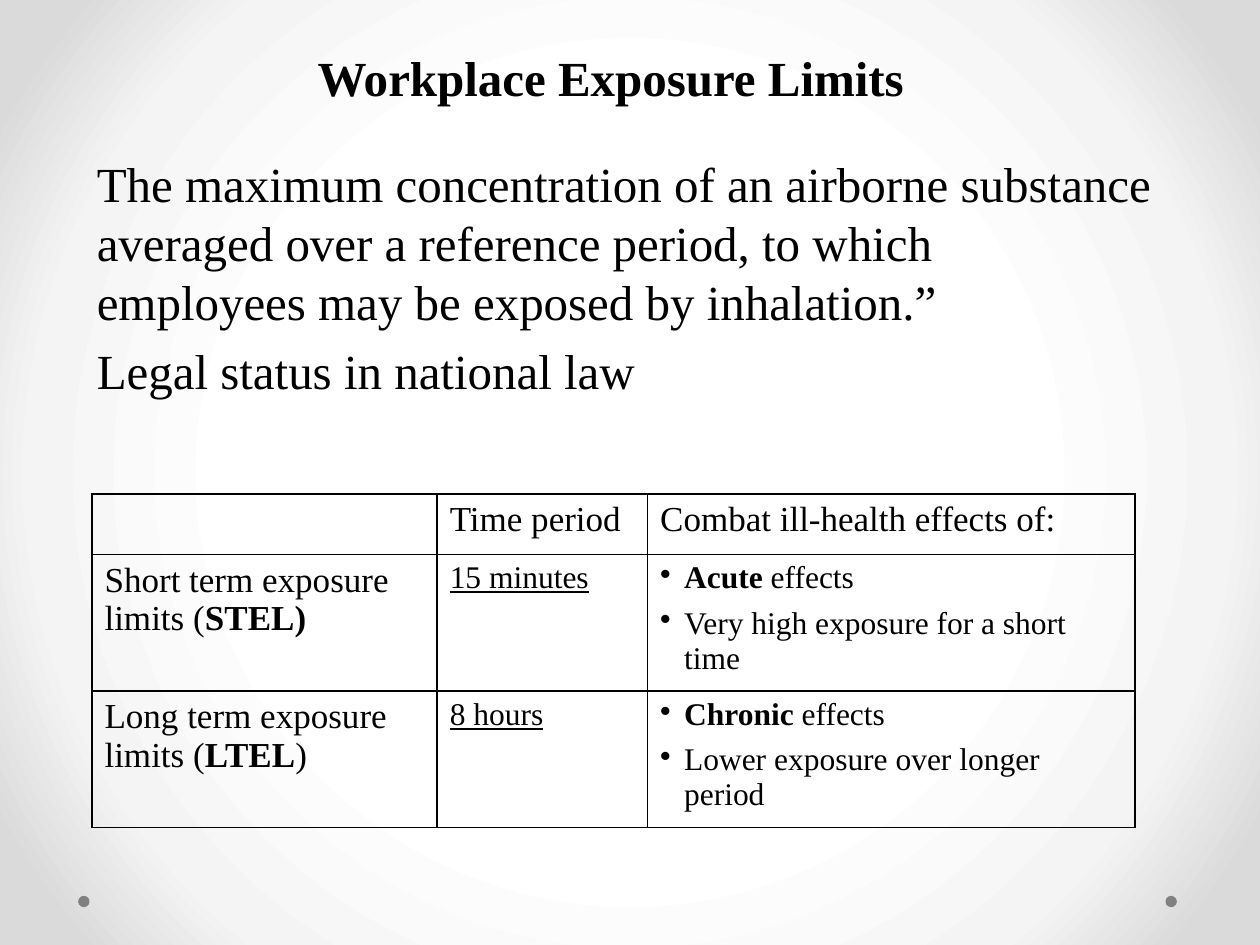
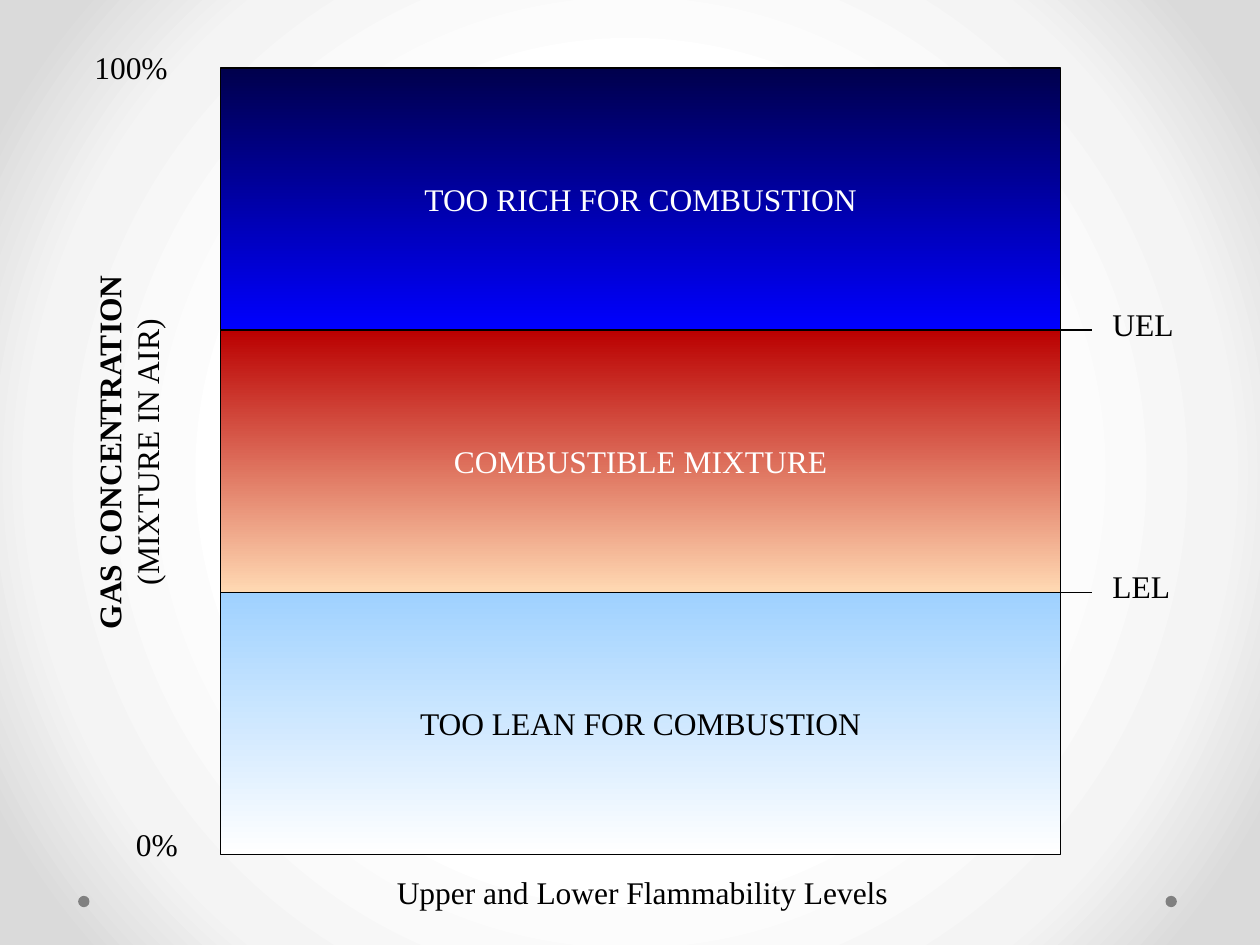
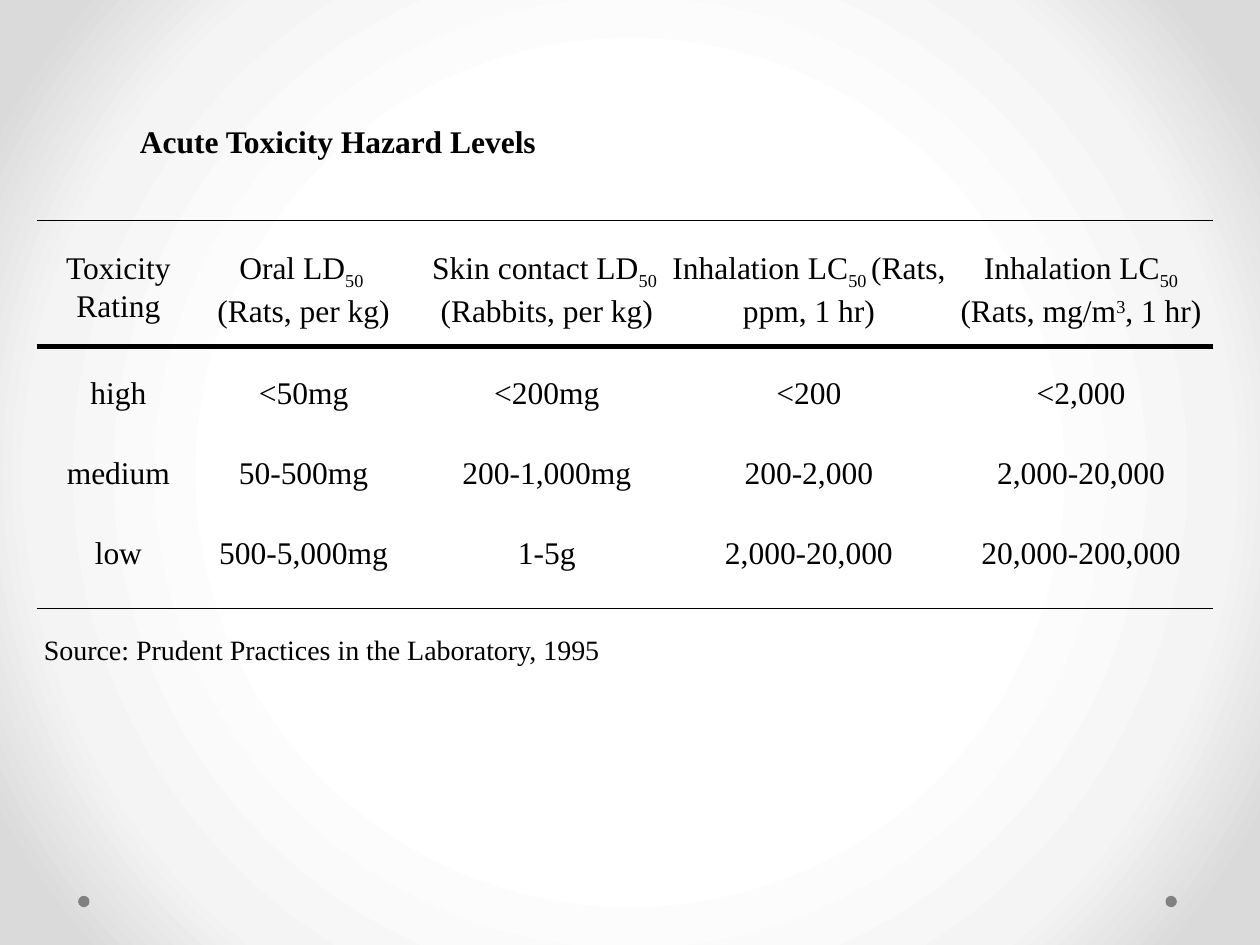
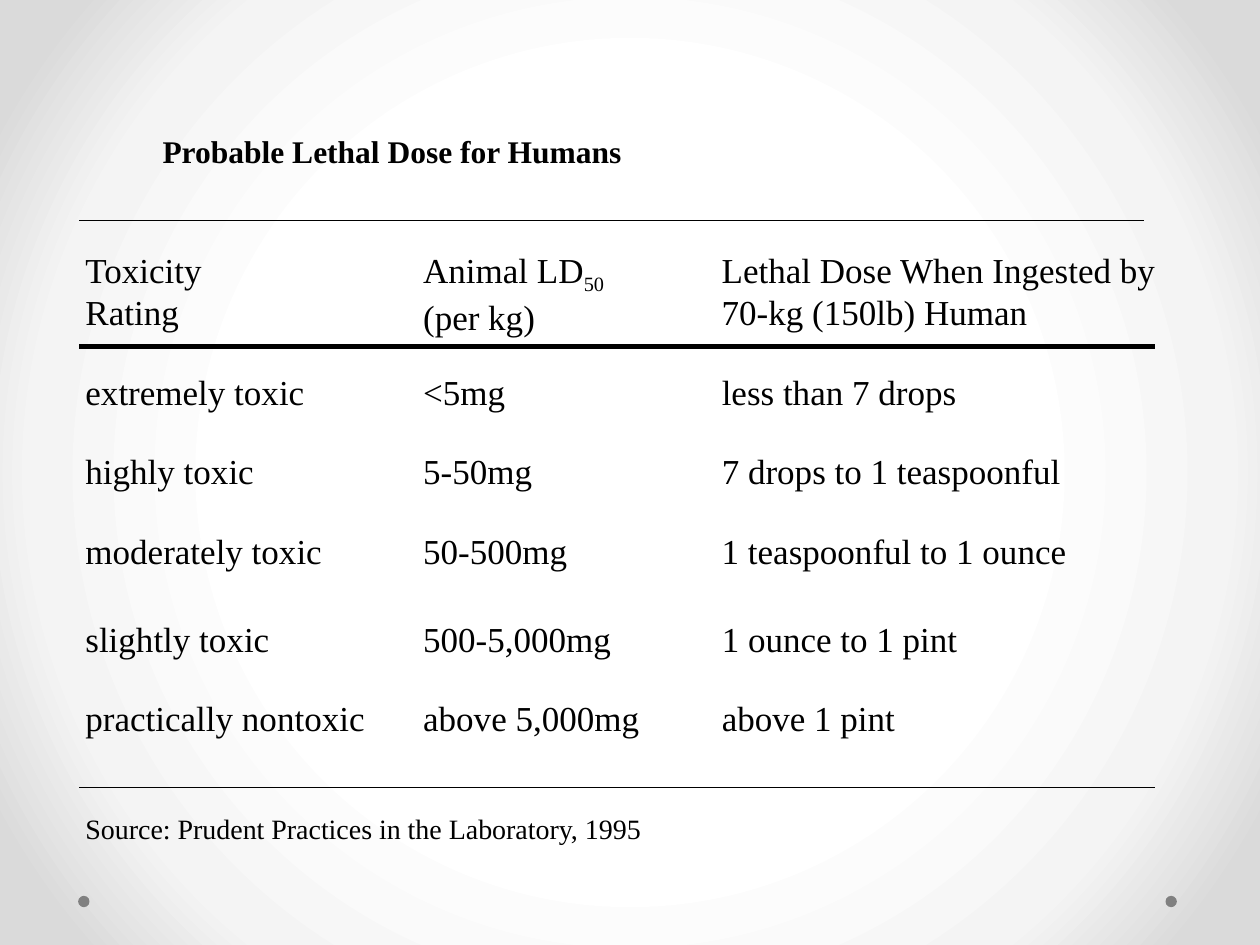
"""Build four slides on exposure limits, flammability and toxicity."""
from dataclasses import dataclass
from typing import NamedTuple

import lxml.etree
import pptx
import pptx.dml.color
import pptx.enum.shapes
import pptx.enum.text
import pptx.oxml
import pptx.oxml.ns
import pptx.presentation
import pptx.shapes.autoshape
import pptx.slide
import pptx.table
import pptx.text.text
import pptx.util

Inches = pptx.util.Inches
Align = pptx.enum.text.PP_ALIGN
Shape = pptx.enum.shapes.MSO_SHAPE
qn = pptx.oxml.ns.qn

FONT = "Times New Roman"
BLACK, WHITE, GREY = "000000", "FFFFFF", "808080"
BACKGROUND_STOPS = ((50, "FFFFFF"), (76, "F4F4F4"), (92, "DADADA"))
DOT_LEFTS, DOT_TOP, DOT_SIZE = (0.62, 9.25), 7.11, 0.09
TITLE_ONLY, BLANK = 5, 6
SOURCE = "Source: Prudent Practices in the Laboratory, 1995"
HEADING_TOP, RULE_TOP, RULE_MIDDLE = 1.92, 1.75, 2.75


class Box(NamedTuple):
    left: float
    top: float
    width: float
    height: float


class Span(NamedTuple):
    text: str
    bold: bool = False
    underline: bool = False
    baseline: int = 0


Line = list[Span]


@dataclass
class Style:
    size: float = 18
    color: str = BLACK
    align: Align = Align.LEFT
    space_before: float = 0


@dataclass
class Band:
    label: str
    start: str
    end: str
    text_color: str


@dataclass
class Column:
    anchor: float
    heading_width: float
    heading: list[Line]
    values: list[tuple[str, float]]


@dataclass
class Rule:
    left: float
    right: float
    y: float
    weight: float


def rgb(value: str) -> pptx.dml.color.RGBColor:
    """Turn a hex string into a colour."""
    return pptx.dml.color.RGBColor.from_string(value)


def plain(*texts: str) -> list[Line]:
    """Make one unformatted line of each text."""
    return [[Span(text)] for text in texts]


def inches(box: Box) -> list[pptx.util.Length]:
    """Convert a box to lengths."""
    return [Inches(value) for value in box]


def write(frame: pptx.text.text.TextFrame, lines: list[Line], style: Style) -> None:
    """Fill a text frame with formatted lines."""
    frame.text = "\n".join("" for _ in lines)
    for para, line in zip(frame.paragraphs, lines):
        para.alignment = style.align
        para.space_before = pptx.util.Pt(style.space_before)
        for span in line:
            run = para.add_run()
            run.text = span.text
            run.font.name = FONT
            run.font.size = pptx.util.Pt(style.size)
            run.font.bold = span.bold
            run.font.underline = span.underline
            run.font.color.rgb = rgb(style.color)
            if span.baseline:
                run.font._element.set("baseline", str(span.baseline * 1000))


def hang(para: pptx.text.text._Paragraph, indent: float, bullet: str = "") -> None:
    """Give a paragraph a hanging indent and, if asked, a bullet."""
    properties = para._p.get_or_add_pPr()
    properties.set("marL", str(Inches(indent)))
    properties.set("indent", str(-Inches(indent)))
    if bullet:
        lxml.etree.SubElement(properties, qn("a:buChar")).set("char", bullet)


def add_text(slide: pptx.slide.Slide, box: Box, lines: list[Line], style: Style,
             wrap: bool = False) -> pptx.shapes.autoshape.Shape:
    """Add a text box."""
    shape = slide.shapes.add_textbox(*inches(box))
    shape.text_frame.word_wrap = wrap
    write(shape.text_frame, lines, style)
    return shape


def set_title(slide: pptx.slide.Slide, box: Box, text: str, size: float = 18) -> None:
    """Place and format the title placeholder."""
    title = slide.shapes.title
    title.left, title.top, title.width, title.height = inches(box)
    frame = title.text_frame
    frame.word_wrap = False
    frame.auto_size = pptx.enum.text.MSO_AUTO_SIZE.NONE
    frame.vertical_anchor = pptx.enum.text.MSO_ANCHOR.TOP
    write(frame, [[Span(text, bold=True)]], Style(size))


def add_rule(slide: pptx.slide.Slide, rule: Rule) -> None:
    """Draw a horizontal black line."""
    line = slide.shapes.add_connector(
        pptx.enum.shapes.MSO_CONNECTOR.STRAIGHT,
        Inches(rule.left), Inches(rule.y), Inches(rule.right), Inches(rule.y))
    line.line.color.rgb = rgb(BLACK)
    line.line.width = pptx.util.Pt(rule.weight)
    lxml.etree.SubElement(line._element.spPr, qn("a:effectLst"))


def style_master(deck: pptx.presentation.Presentation, slide: pptx.slide.Slide) -> None:
    """Put the radial background and the two footer dots on the master."""
    master = deck.slide_master
    master.background.fill.solid()
    stops = "".join(f'<a:gs pos="{position * 1000}"><a:srgbClr val="{value}"/></a:gs>'
                    for position, value in BACKGROUND_STOPS)
    gradient = pptx.oxml.parse_xml(
        f'<a:gradFill {pptx.oxml.ns.nsdecls("a")} rotWithShape="1"><a:gsLst>{stops}</a:gsLst>'
        '<a:path path="circle"><a:fillToRect l="50000" t="50000" r="50000" b="50000"/></a:path>'
        '</a:gradFill>')
    properties = master.element.find(".//" + qn("p:bgPr"))
    properties.replace(properties[0], gradient)
    for number, left in enumerate(DOT_LEFTS, start=100):
        dot = slide.shapes.add_shape(Shape.OVAL, *inches(Box(left, DOT_TOP, DOT_SIZE, DOT_SIZE)))
        dot.shadow.inherit = False
        dot.fill.solid()
        dot.fill.fore_color.rgb = rgb(GREY)
        dot.line.fill.background()
        dot.name = f"Footer dot {number}"
        dot._element.nvSpPr.cNvPr.set("id", str(number))
        master.shapes._spTree.append(dot._element)


def border_cell(cell: pptx.table._Cell) -> None:
    """Clear a cell's fill and give it thin black borders."""
    cell.fill.background()
    properties = cell._tc.get_or_add_tcPr()
    for index, side in enumerate(("lnL", "lnR", "lnT", "lnB")):
        properties.insert(index, pptx.oxml.parse_xml(
            f'<a:{side} {pptx.oxml.ns.nsdecls("a")} w="{pptx.util.Pt(1)}"><a:solidFill>'
            f'<a:srgbClr val="{BLACK}"/></a:solidFill></a:{side}>'))


def add_limits_table(slide: pptx.slide.Slide) -> None:
    """Add the table of short and long term limits."""
    rows = [
        [[], plain("Time period"), plain("Combat ill-health effects of:")],
        [[[Span("Short term exposure limits ("), Span("STEL)", bold=True)]],
         [[Span("15 minutes", underline=True)]],
         [[Span("Acute", bold=True), Span(" effects")],
          [Span("Very high exposure for a short time")]]],
        [[[Span("Long term exposure limits ("), Span("LTEL", bold=True), Span(")")]],
         [[Span("8 hours", underline=True)]],
         [[Span("Chronic", bold=True), Span(" effects")],
          [Span("Lower exposure over longer period")]]],
    ]
    table = slide.shapes.add_table(3, 3, *inches(Box(0.73, 3.92, 8.28, 2.64))).table
    table.first_row = table.horz_banding = False
    for column, width in zip(table.columns, (2.74, 1.67, 3.87)):
        column.width = Inches(width)
    for row, height in zip(table.rows, (0.48, 1.08, 1.08)):
        row.height = Inches(height)
    for row_index, row in enumerate(rows):
        for column_index, lines in enumerate(row):
            cell = table.cell(row_index, column_index)
            border_cell(cell)
            detail = row_index > 0 and column_index > 0
            if lines:
                write(cell.text_frame, lines, Style(18 if detail else 20, space_before=6))
            if detail and column_index == 2:
                for para in cell.text_frame.paragraphs:
                    hang(para, 0.19, "•")


def build_limits(slide: pptx.slide.Slide) -> None:
    """Build the workplace exposure limits slide."""
    set_title(slide, Box(2.42, 0.33, 4.9, 0.57), "Workplace Exposure Limits", 28)
    body = add_text(slide, Box(0.67, 1.17, 8.58, 2.37), plain(
        "The maximum concentration of an airborne substance averaged over a reference period, "
        "to which employees may be exposed by inhalation.”",
        "Legal status in national law"), Style(28, space_before=6), wrap=True)
    hang(body.text_frame.paragraphs[1], 0.39)
    add_limits_table(slide)


def build_flammability(slide: pptx.slide.Slide) -> None:
    """Build the flammability levels diagram."""
    left, top, width, height = 1.75, 0.54, 6.67, 2.08
    bands = [
        Band("TOO RICH FOR COMBUSTION", "00004C", "0000FF", WHITE),
        Band("COMBUSTIBLE MIXTURE", "BA0000", "FFD9B3", WHITE),
        Band("TOO LEAN FOR COMBUSTION", "9FD1FF", "FFFFFF", BLACK),
    ]
    for index, band in enumerate(bands):
        shape = slide.shapes.add_shape(
            Shape.RECTANGLE, *inches(Box(left, top + index * height, width, height)))
        shape.shadow.inherit = False
        shape.fill.gradient()
        shape.fill.gradient_angle = 270
        for stop, position, value in zip(shape.fill.gradient_stops, (0, 1), (band.start, band.end)):
            stop.position = position
            stop.color.rgb = rgb(value)
        shape.line.color.rgb = rgb(BLACK)
        shape.line.width = pptx.util.Pt(0.75)
        shape.text_frame.word_wrap = False
        shape.text_frame.vertical_anchor = pptx.enum.text.MSO_ANCHOR.MIDDLE
        write(shape.text_frame, plain(band.label), Style(color=band.text_color, align=Align.CENTER))
    axis = add_text(slide, Box(-0.87, 3.14, 3.97, 0.9),
                    [[Span("GAS CONCENTRATION", bold=True)], [Span("(MIXTURE IN AIR)")]],
                    Style(align=Align.CENTER))
    axis.rotation = 270
    add_text(slide, Box(0.65, 0.33, 0.98, 0.5), plain("100%"), Style())
    add_text(slide, Box(0.98, 6.5, 0.65, 0.5), plain("0%"), Style())
    for index, label in enumerate(("UEL", "LEL"), start=1):
        level = top + index * height
        add_text(slide, Box(8.73, level - 0.25, 0.85, 0.5), plain(label), Style())
        add_rule(slide, Rule(left, 8.67, level, 0.75))
    add_text(slide, Box(2.4, 6.88, 5.4, 0.5), plain("Upper and Lower Flammability Levels"),
             Style(align=Align.CENTER))


def add_columns(slide: pptx.slide.Slide, columns: list[Column], row_tops: tuple[float, ...],
                style: Style, heading_height: float, row_height: float) -> None:
    """Set out columns of text, centred on or starting at their anchors."""
    shift = 0.5 if style.align == Align.CENTER else 0
    for column in columns:
        width = column.heading_width
        add_text(slide, Box(column.anchor - shift * width, HEADING_TOP, width, heading_height),
                 column.heading, style, wrap=True)
        for top, (text, width) in zip(row_tops, column.values):
            add_text(slide, Box(column.anchor - shift * width, top, width, row_height),
                     plain(text), style)


def build_hazard_levels(slide: pptx.slide.Slide) -> None:
    """Build the acute toxicity slide."""
    set_title(slide, Box(1.01, 0.92, 4.81, 0.5), "Acute Toxicity Hazard Levels")
    fifty = Span("50 ", baseline=-25)
    columns = [
        Column(0.94, 1.35, plain("Toxicity", "Rating"),
               [("high", 0.67), ("medium", 1.09), ("low", 0.58)]),
        Column(2.41, 2.07, [[Span("Oral LD"), fifty], [Span("(Rats, per kg)")]],
               [("<50mg", 0.97), ("50-500mg", 1.33), ("500-5,000mg", 1.67)]),
        Column(4.34, 2.42, [[Span("Skin contact LD"), fifty], [Span("(Rabbits, per kg)")]],
               [("<200mg", 1.11), ("200-1,000mg", 1.67), ("1-5g", 0.7)]),
        Column(6.42, 2.42, [[Span("Inhalation LC"), fifty, Span("(Rats, ppm, 1 hr)")]],
               [("<200", 0.82), ("200-2,000", 1.83), ("2,000-20,000", 1.75)]),
        Column(8.58, 2.33, [[Span("Inhalation LC"), fifty, Span("(Rats, mg/m"),
                             Span("3", baseline=30), Span(", 1 hr)")]],
               [("<2,000", 0.97), ("2,000-20,000", 1.67), ("20,000-200,000", 1.95)]),
    ]
    add_columns(slide, columns, (2.91, 3.55, 4.18), Style(align=Align.CENTER), 0.7, 0.4)
    for y, weight in ((RULE_TOP, 1), (RULE_MIDDLE, 3), (4.83, 1)):
        add_rule(slide, Rule(0.29, 9.63, y, weight))
    add_text(slide, Box(0.25, 4.97, 5.13, 0.37), plain(SOURCE), Style(16))


def build_lethal_dose(slide: pptx.slide.Slide) -> None:
    """Build the probable lethal dose slide."""
    set_title(slide, Box(1.19, 1, 5.55, 0.5), "Probable Lethal Dose for Humans")
    columns = [
        Column(0.58, 1.35, plain("Toxicity", "Rating"),
               [("extremely toxic", 2.05), ("highly toxic", 1.58), ("moderately toxic", 2.22),
                ("slightly toxic", 1.7), ("practically nontoxic", 2.55)]),
        Column(3.26, 2.07, [[Span("Animal LD"), Span("50", baseline=-25)], [Span("(per kg)")]],
               [("<5mg", 0.9), ("5-50mg", 1.14), ("50-500mg", 1.45),
                ("500-5,000mg", 1.84), ("above 5,000mg", 2.11)]),
        Column(5.63, 3.87, plain("Lethal Dose When Ingested by 70-kg (150lb) Human"),
               [("less than 7 drops", 2.31), ("7 drops to 1 teaspoonful", 3.18),
                ("1 teaspoonful to 1 ounce", 3.24), ("1 ounce to 1 pint", 2.25),
                ("above 1 pint", 1.71)]),
    ]
    add_columns(slide, columns, (2.89, 3.52, 4.15, 4.85, 5.48), Style(20), 0.77, 0.43)
    for right, y, weight in ((9.08, RULE_TOP, 1), (9.17, RULE_MIDDLE, 3), (9.17, 6.25, 1)):
        add_rule(slide, Rule(0.63, right, y, weight))
    add_text(slide, Box(0.58, 6.39, 5.13, 0.37), plain(SOURCE), Style(16))


def main() -> None:
    """Build and save the deck."""
    deck = pptx.Presentation()
    deck.slide_width, deck.slide_height = Inches(10), Inches(7.5)
    builders = (
        (build_limits, TITLE_ONLY),
        (build_flammability, BLANK),
        (build_hazard_levels, TITLE_ONLY),
        (build_lethal_dose, TITLE_ONLY),
    )
    for index, (build, layout) in enumerate(builders):
        slide = deck.slides.add_slide(deck.slide_layouts[layout])
        if index == 0:
            style_master(deck, slide)
        build(slide)
    deck.save("out.pptx")


if __name__ == "__main__":
    main()
